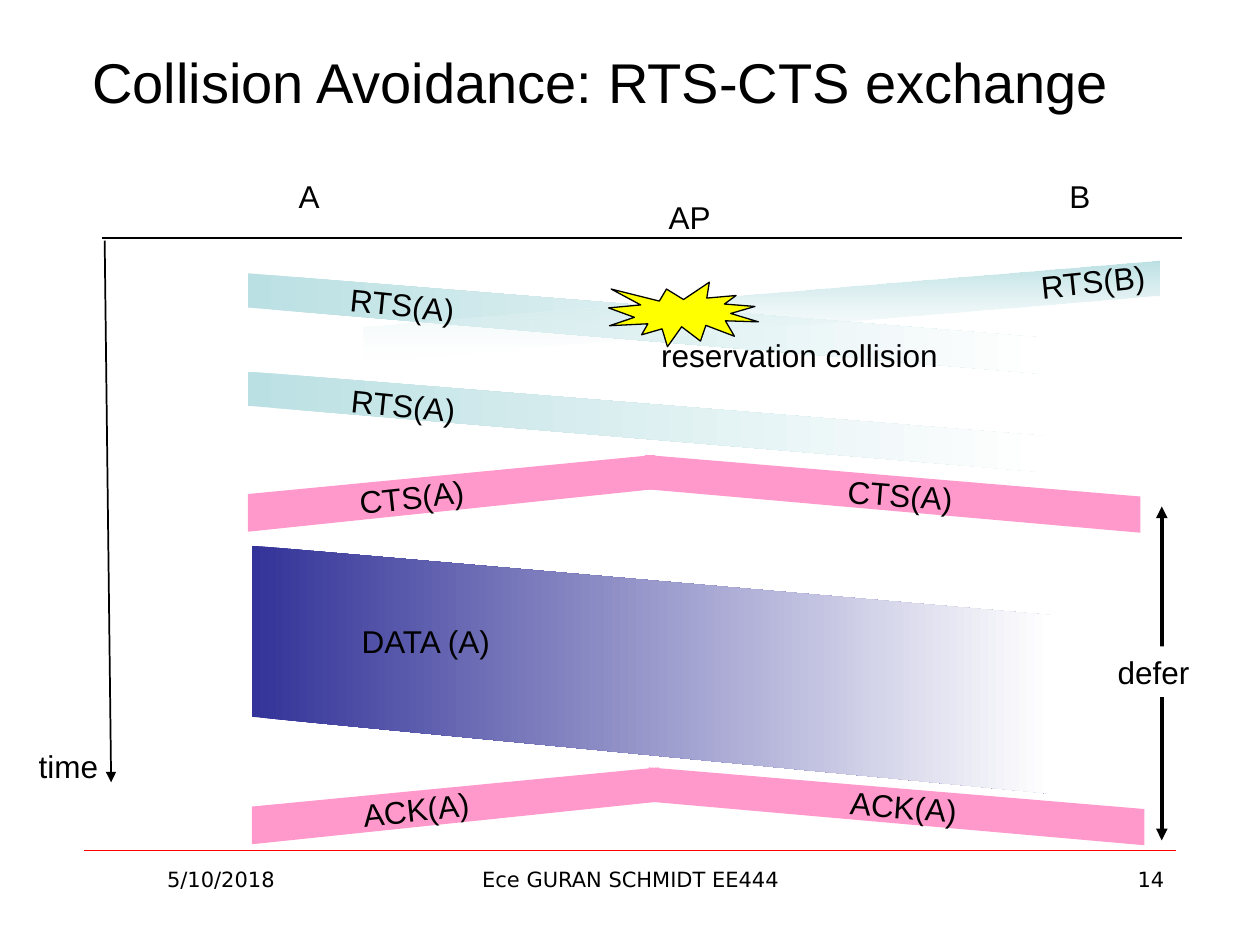
from lxml.etree import SubElement
from pptx import Presentation
from pptx.dml.color import RGBColor
from pptx.enum.shapes import MSO_CONNECTOR, MSO_SHAPE
from pptx.enum.text import MSO_ANCHOR, MSO_AUTO_SIZE, PP_ALIGN
from pptx.oxml.ns import qn
from pptx.util import Cm, Pt

BLACK, WHITE = "000000", "FFFFFF"
TEAL, PINK, NAVY = "BBE0E3", "FF99CC", "333399"
ROW = 1.02  # height of a one-line label


def rgb(code):
    return RGBColor.from_string(code)


def style(para, size, face="Arial", align=None):
    para.font.size = Pt(size)
    para.font.name = face
    para.font.color.rgb = rgb(BLACK)
    para.alignment = align


def add_title(slide, text):
    title = slide.shapes.title
    title.left, title.top = Cm(1.32), Cm(0.33)
    title.width, title.height = Cm(21.59), Cm(2.62)
    frame = title.text_frame
    frame.text = text
    frame.auto_size = MSO_AUTO_SIZE.NONE
    frame.vertical_anchor = MSO_ANCHOR.MIDDLE
    style(frame.paragraphs[0], 32, align=PP_ALIGN.CENTER)


def add_label(slide, text, left, top, width, turn=0, wrap=False):
    box = slide.shapes.add_textbox(Cm(left), Cm(top), Cm(width), Cm(ROW))
    box.rotation = turn
    frame = box.text_frame
    frame.text = text
    frame.word_wrap = wrap
    frame.auto_size = MSO_AUTO_SIZE.SHAPE_TO_FIT_TEXT
    style(frame.paragraphs[0], 18)
    return box


def add_foot(slide, text, left, width, align):
    box = slide.shapes.add_textbox(Cm(left), Cm(17.35), Cm(width), Cm(1.32))
    box.text_frame.text = text
    box.text_frame.word_wrap = True
    style(box.text_frame.paragraphs[0], 12, "DejaVu Sans", align)


def add_line(slide, start, end, width, color=BLACK, tips=()):
    """Draw a straight line; tips holds "headEnd" and/or "tailEnd"."""
    ends = [Cm(n) for n in (*start, *end)]
    line = slide.shapes.add_connector(MSO_CONNECTOR.STRAIGHT, *ends)
    line.line.width = Pt(width)
    line.line.color.rgb = rgb(color)
    for tip in tips:
        SubElement(line.line._get_or_add_ln(), qn(f"a:{tip}"), type="triangle")
    SubElement(line._element.spPr, qn("a:effectLst"))


def add_band(slide, start, end, color, shift=(0, 0)):
    """Draw a slanted band between two (x, top, bottom) edges."""
    dx, dy = shift
    (x1, top1, low1), (x2, top2, low2) = start, end
    spots = [(x1, top1), (x2, top2), (x2, low2), (x1, low1)]
    first, *rest = [(Cm(x + dx), Cm(y + dy)) for x, y in spots]
    path = slide.shapes.build_freeform(*first)
    path.add_line_segments(rest, close=True)
    band = path.convert_to_shape()
    band.shadow.inherit = False
    band.line.fill.background()
    band.fill.solid()
    band.fill.fore_color.rgb = rgb(color)
    return band


def fade(band, color, angle=0, alpha=None):
    """Fade a band from its colour to white, optionally see-through."""
    fill = band.fill
    fill.gradient()
    fill.gradient_angle = angle
    for stop, code, place in zip(fill.gradient_stops, (color, WHITE), (0, 1)):
        stop.color.rgb = rgb(code)
        stop.position = place
    if alpha is not None:
        last = band._element.xpath(".//a:gs/a:srgbClr")[-1]
        SubElement(last, qn("a:alpha"), val=str(alpha * 1000))


def add_reply(slide, shift=(0, 0)):
    """Draw the pair of pink bands that the AP sends to A and B."""
    add_band(slide, (13, 9.17, 9.86), (22.99, 10.01, 10.74), PINK, shift)
    add_band(slide, (13.21, 9.17, 9.86), (5, 9.96, 10.72), PINK, shift)


def add_rts(slide, shift=(0, 0)):
    band = add_band(slide, (5, 5.51, 6.2), (21.06, 6.81, 7.54), TEAL, shift)
    fade(band, TEAL)


def add_burst(slide):
    star = slide.shapes.add_shape(
        MSO_SHAPE.EXPLOSION1, Cm(12.27), Cm(5.69), Cm(3.02), Cm(1.3))
    star.shadow.inherit = False
    star.fill.solid()
    star.fill.fore_color.rgb = rgb("FFFF00")
    star.line.color.rgb = rgb(BLACK)
    star.line.width = Pt(0.75)


def main():
    deck = Presentation()
    deck.slide_width, deck.slide_height = Cm(25.4), Cm(19.05)
    slide = deck.slides.add_slide(deck.slide_layouts[5])
    add_title(slide, "Collision Avoidance: RTS-CTS exchange")
    add_line(slide, (1.7, 17.15), (23.7, 17.15), 0.25, "FF0000")

    # Stations and time axis
    add_label(slide, "AP", 13.23, 3.86, 1.37)
    add_label(slide, "A", 5.77, 3.45, 0.97)
    add_label(slide, "B", 21.31, 3.45, 0.94)
    add_line(slide, (2.11, 4.85), (2.24, 15.77), 1, tips=["tailEnd"])
    add_label(slide, "time", 0.53, 14.94, 1.73)
    add_line(slide, (2.06, 4.8), (23.83, 4.8), 0.75)

    # Colliding requests
    add_rts(slide)
    band = add_band(slide, (23.37, 5.26, 5.97), (7.32, 6.58, 7.29), TEAL)
    fade(band, TEAL, angle=270, alpha=6)
    add_label(slide, "RTS(A)", 6.81, 5.64, 2.72, 5.9)
    add_label(slide, "RTS(B)", 20.73, 5.16, 2.64, -5.9)

    # Successful request and clearance
    add_rts(slide, (0, 1.98))
    add_label(slide, "RTS(A)", 6.83, 7.67, 2.72, 5.9)
    add_reply(slide)
    add_label(slide, "CTS(A)", 6.99, 9.5, 2.69, -6.3)
    add_label(slide, "CTS(A)", 16.84, 9.47, 2.69, 4.6)

    # Data and acknowledgement
    data = add_band(slide, (5.08, 11, 14.45), (21.18, 12.4, 16), NAVY)
    fade(data, NAVY)
    add_label(slide, "DATA (A)", 7.04, 12.42, 5, wrap=True)
    add_reply(slide, (0.08, 6.3))
    add_label(slide, "ACK(A)", 7.06, 15.8, 2.67, -6.3)
    add_label(slide, "ACK(A)", 16.89, 15.75, 2.67, 4.6)

    add_burst(slide)
    add_label(slide, "reservation collision", 13.08, 6.65, 7.85, wrap=True)
    add_line(slide, (23.42, 10.21), (23.42, 16.94), 2.25,
             tips=["headEnd", "tailEnd"])
    defer = add_label(slide, "defer", 22.28, 13.03, 1.98)
    defer.fill.solid()
    defer.fill.fore_color.rgb = rgb(WHITE)

    add_foot(slide, "5/10/2018", 1.7, 5.51, PP_ALIGN.CENTER)
    add_foot(slide, "Ece GURAN SCHMIDT EE444", 8.69, 8.05, PP_ALIGN.CENTER)
    add_foot(slide, "14", 18.21, 5.51, PP_ALIGN.RIGHT)
    deck.save("out.pptx")


if __name__ == "__main__":
    main()
